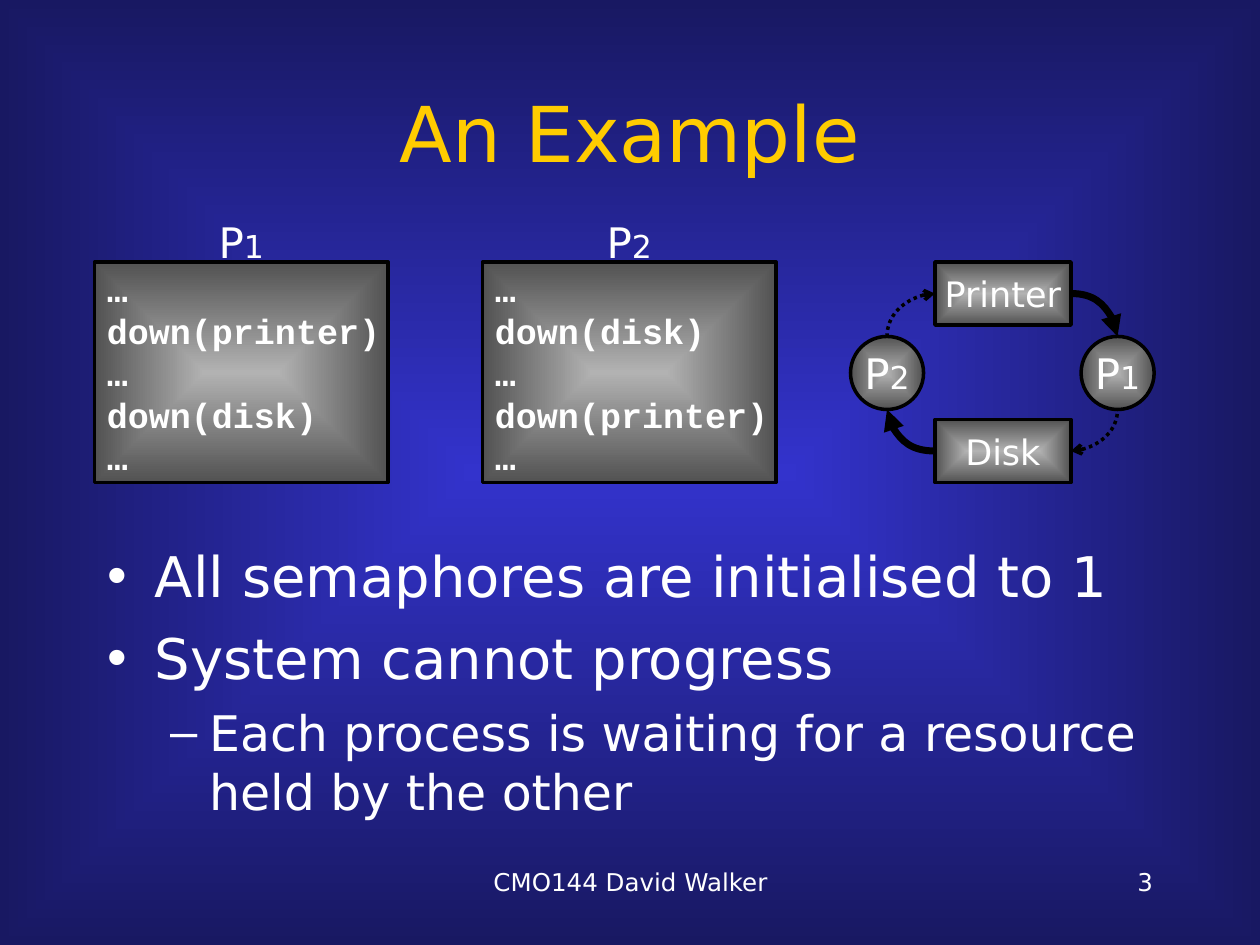
import pptx
import pptx.util
import pptx.dml.color
import pptx.enum.dml
import pptx.enum.shapes
import pptx.enum.text
import pptx.oxml
import pptx.oxml.ns
import lxml.etree

Inches, Pt = pptx.util.Inches, pptx.util.Pt
SHAPE = pptx.enum.shapes.MSO_SHAPE
ALIGN = pptx.enum.text.PP_ALIGN
ANCHOR = pptx.enum.text.MSO_ANCHOR
qn = pptx.oxml.ns.qn
color = pptx.dml.color.RGBColor.from_string
PATH = ('<a:path %s path="rect"><a:fillToRect l="50000" t="50000" r="50000" b="50000"/></a:path>'
        % pptx.oxml.ns.nsdecls("a"))


def fill_from_centre(owner, fill, inner, outer):
    fill.gradient()
    for stop, value, place in zip(fill.gradient_stops, (inner, outer), (0, 1)):
        stop.color.rgb = color(value)
        stop.position = place
    gradient = owner.element.xpath(".//a:gradFill")[0]
    gradient.replace(gradient.find(qn("a:lin")), pptx.oxml.parse_xml(PATH))


def write(box, lines, align, anchor=ANCHOR.TOP, wrap=True, name="DejaVu Sans", bold=False, ink="FFFFFF"):
    """Each line is a list of (text, size) spans."""
    frame = box.text_frame
    settings = {"word_wrap": wrap, "vertical_anchor": anchor,
                "auto_size": pptx.enum.text.MSO_AUTO_SIZE.NONE}
    for key, value in settings.items():
        setattr(frame, key, value)
    for number, line in enumerate(lines):
        para = frame.add_paragraph() if number else frame.paragraphs[0]
        para.alignment = align
        for text, size in line:
            span = para.add_run()
            span.text = text
            for key, value in {"name": name, "size": Pt(size), "bold": bold}.items():
                setattr(span.font, key, value)
            span.font.color.rgb = color(ink)


deck = pptx.Presentation()
deck.slide_width, deck.slide_height = Inches(10), Inches(7.5)
page = deck.slides.add_slide(deck.slide_layouts[1])
fill_from_centre(page, page.background.fill, "3333CC", "181862")

# Title and bullet list
title, body = page.shapes.title, page.placeholders[1]
for holder, place in ((title, (0.75, 0.42, 8.5, 1.25)), (body, (0.75, 4.25, 8.5, 2.42))):
    holder.left, holder.top, holder.width, holder.height = map(Inches, place)
write(title, [[("An Example", 44)]], ALIGN.CENTER, ANCHOR.MIDDLE, ink="FFCC00")
write(body, [[("All semaphores are initialised to 1", 32)],
             [("System cannot progress", 32)],
             [("Each process is waiting for a resource held by the other", 28)]], ALIGN.LEFT)
bullets = [("•", 0, 0.38, 0.38, 8), ("•", 0, 0.38, 0.38, 8), ("–", 1, 0.81, 0.31, 7)]
for para, (mark, level, margin, hanging, space) in zip(body.text_frame.paragraphs, bullets):
    para.level = level
    para.space_before = Pt(space)
    properties = para._p.get_or_add_pPr()
    properties.set("marL", str(Inches(margin)))
    properties.set("indent", str(-Inches(hanging)))
    lxml.etree.SubElement(properties, qn("a:buChar")).set("char", mark)

# Code of the two processes, and the nodes of the resource graph
code = {"1": ("printer", "disk"), "2": ("disk", "printer")}
panels = []
for column, (number, (first, second)) in enumerate(code.items()):
    left = 0.75 + 3.08 * column
    lines = ["…", f"down({first})", "…", f"down({second})", "…"]
    panels.append((SHAPE.RECTANGLE, (left, 2.08, 2.33, 1.75), [[(line, 20)] for line in lines],
                   {"align": ALIGN.LEFT, "name": "Courier New", "bold": True}))
    label = page.shapes.add_textbox(*map(Inches, (left, 1.67, 2.33, 0.5)))
    write(label, [[("P", 24), (number, 18)]], ALIGN.CENTER)

centred = {"align": ALIGN.CENTER}
panels += [
    (SHAPE.OVAL, (6.75, 2.67, 0.58, 0.58), [[("P", 24), ("2", 18)]], centred),
    (SHAPE.OVAL, (8.58, 2.67, 0.58, 0.58), [[("P", 24), ("1", 18)]], centred),
    (SHAPE.RECTANGLE, (7.42, 3.33, 1.08, 0.5), [[("Disk", 20)]], centred),
    (SHAPE.RECTANGLE, (7.42, 2.08, 1.08, 0.5), [[("Printer", 20)]], centred),
]
drawn = []
for kind, place, lines, style in panels:
    box = page.shapes.add_shape(kind, *map(Inches, place))
    box.shadow.inherit = False
    fill_from_centre(box, box.fill, "B2B2B2", "525252")
    box.line.color.rgb = color("000000")
    box.line.width = Pt(2)
    write(box, lines, anchor=ANCHOR.MIDDLE, wrap=False, **style)
    drawn.append(box)
process_2, process_1, disk, printer = drawn[2:]

# Curves run from resource to process: thick when held, dotted when waited for
LEFT, RIGHT, TOP, BOTTOM = 1, 3, 0, 4
curves = [(printer, RIGHT, process_1, TOP, True), (disk, RIGHT, process_1, BOTTOM, False),
          (disk, LEFT, process_2, BOTTOM, True), (printer, LEFT, process_2, TOP, False)]
for resource, side, process, pole, held in curves:
    curve = page.shapes.add_connector(
        pptx.enum.shapes.MSO_CONNECTOR.CURVE,
        resource.left + (resource.width if side == RIGHT else 0),
        resource.top + resource.height // 2,
        process.left + process.width // 2,
        process.top + (process.height if pole == BOTTOM else 0))
    curve.begin_connect(resource, side)
    joint = lxml.etree.SubElement(curve.element.xpath(".//p:cNvCxnSpPr")[0], qn("a:endCxn"))
    joint.set("id", str(process.shape_id))
    joint.set("idx", str(pole))
    curve.element.xpath(".//a:prstGeom")[0].set("prst", "curvedConnector2")
    curve.line.color.rgb = color("000000")
    curve.line.width = Pt(4 if held else 2)
    if not held:
        curve.line.dash_style = pptx.enum.dml.MSO_LINE.ROUND_DOT
    tip = lxml.etree.SubElement(curve.line._get_or_add_ln(), qn("a:tailEnd" if held else "a:headEnd"))
    tip.set("type", "triangle" if held else "arrow")
    lxml.etree.SubElement(curve.element.spPr, qn("a:effectLst"))

# Footer and page number
for text, left, width, align in (("CMO144 David Walker", 3.42, 3.17, ALIGN.CENTER),
                                 ("3", 7.17, 2.08, ALIGN.RIGHT)):
    footer = page.shapes.add_textbox(*map(Inches, (left, 6.83, width, 0.5)))
    write(footer, [[(text, 14)]], align)

deck.save("out.pptx")
